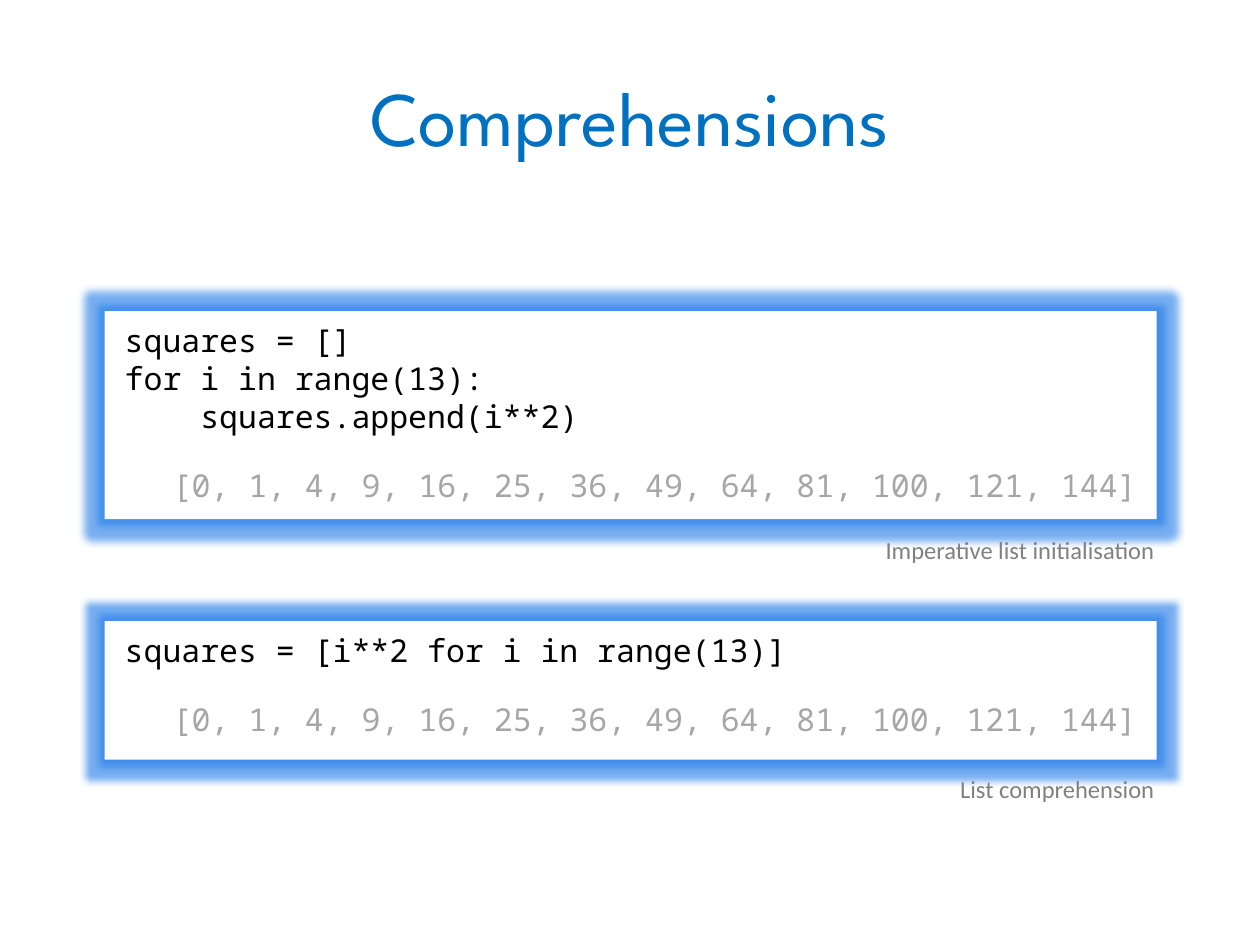
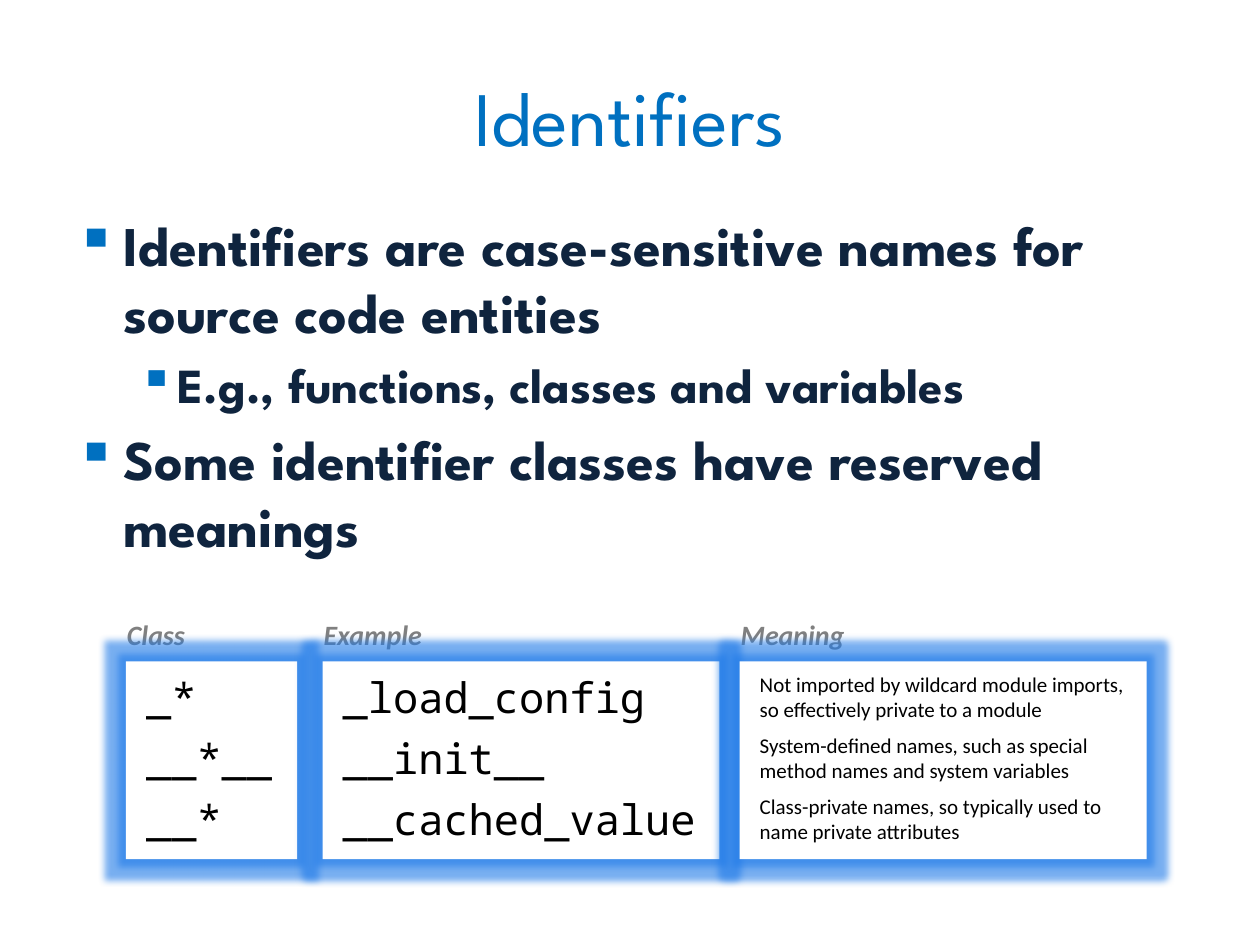
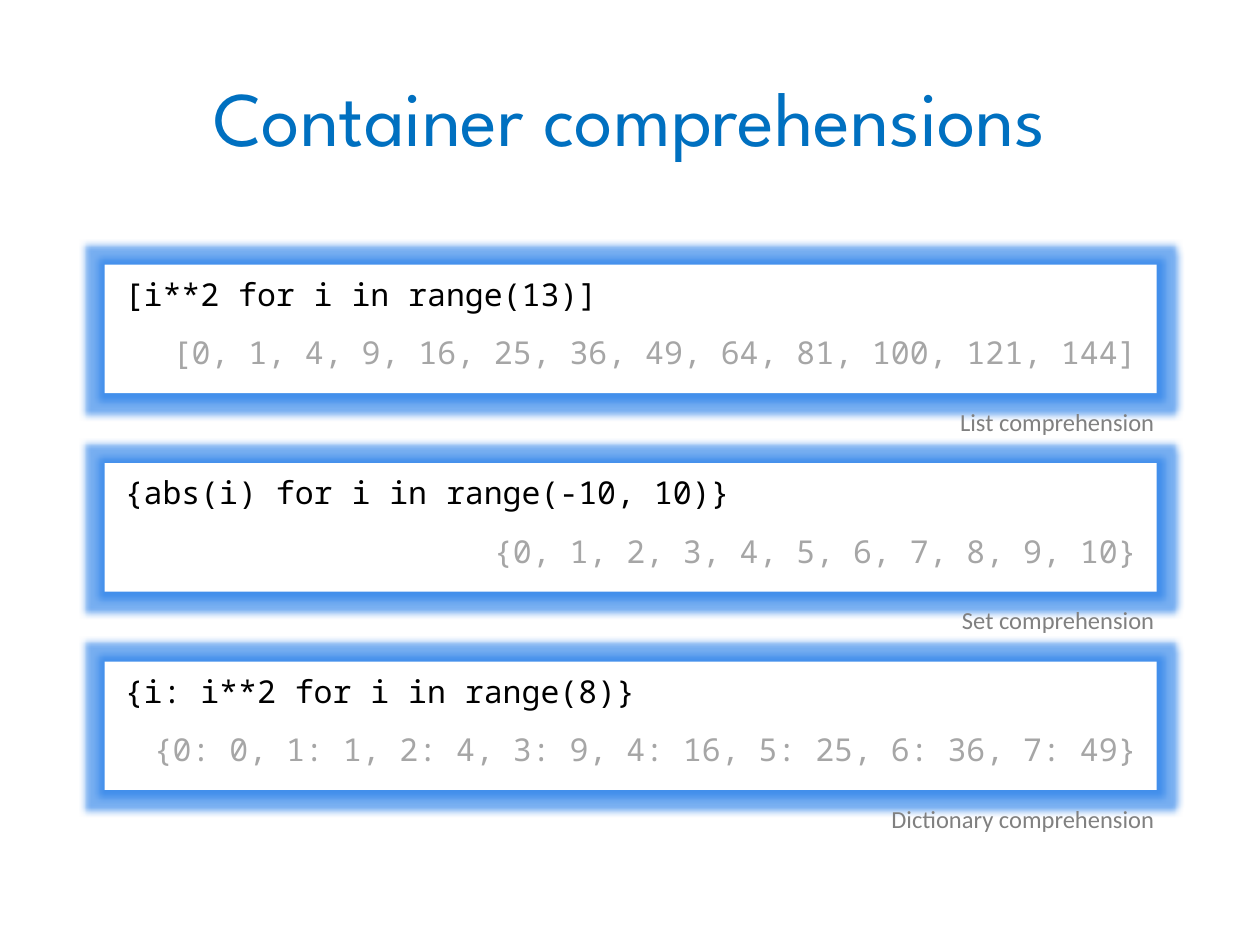
from lxml.etree import SubElement
from pptx import Presentation
from pptx.dml.color import RGBColor
from pptx.enum.shapes import MSO_SHAPE as Shape
from pptx.enum.text import MSO_ANCHOR as Anchor, MSO_AUTO_SIZE as Fit, PP_ALIGN as Align
from pptx.oxml.ns import qn
from pptx.util import Inches, Pt

HUES = {"title": "0070C0", "body": "0F243E", "code": "000000", "result": "A6A6A6",
        "label": "808080", "panel": "FFFFFF", "glow": "1F7AE8"}
HEAD, MONO, SANS = "League Spartan", "Noto Sans Mono", "Calibri"

SQUARES = "[0, 1, 4, 9, 16, 25, 36, 49, 64, 81, 100, 121, 144]"

# top, height, gap to caption, code lines, result, caption
BASICS = [
    (2.47, 1.65, 0.08,
     ["squares = []", "for i in range(13):", "    squares.append(i**2)"],
     SQUARES, "Imperative list initialisation"),
    (4.93, 1.1, 0.06, ["squares = [i**2 for i in range(13)]"],
     SQUARES, "List comprehension"),
]

KINDS = [
    ("[i**2 for i in range(13)]", SQUARES, "List comprehension"),
    ("{abs(i) for i in range(-10, 10)}", "{0, 1, 2, 3, 4, 5, 6, 7, 8, 9, 10}",
     "Set comprehension"),
    ("{i: i**2 for i in range(8)}",
     "{0: 0, 1: 1, 2: 4, 3: 9, 4: 16, 5: 25, 6: 36, 7: 49}",
     "Dictionary comprehension"),
]

POINTS = [
    (0, "Identifiers are case-sensitive names for source code entities"),
    (1, "E.g., functions, classes and variables"),
    (0, "Some identifier classes have reserved meanings"),
]
# size, left margin, hanging indent
LEVELS = [(32, 0.38, 0.38), (28, 0.81, 0.31)]

# label, label width, left, width, font, size, lines
COLUMNS = [
    ("Class", 0.67, 1, 1.36, MONO, 24, ["_*", "__*__", "__*"]),
    ("Example", 0.99, 2.56, 3.15, MONO, 24,
     ["_load_config", "__init__", "__cached_value"]),
    ("Meaning", 1.04, 5.87, 3.23, SANS, 12,
     ["Not imported by wildcard module imports, so effectively private to a module",
      "System-defined names, such as special method names and system variables",
      "Class-private names, so typically used to name private attributes"]),
]


def add_line(frame, text, font, size, hue, align=Align.LEFT, before=0,
             bold=False, italic=False):
    """Fill the empty first paragraph, or add one after the last."""
    para = frame.paragraphs[-1]
    if para.runs:
        para = frame.add_paragraph()
    para.alignment = align
    para.space_before = Pt(before)
    run = para.add_run()
    run.text = text
    run.font.name, run.font.size = font, Pt(size)
    run.font.bold, run.font.italic = bold, italic
    run.font.color.rgb = RGBColor.from_string(HUES[hue])
    return para


def add_text(slide, left, top, width, height, wrap=True):
    frame = slide.shapes.add_textbox(*map(Inches, (left, top, width, height))).text_frame
    frame.word_wrap = wrap
    return frame


def add_bullet(para, left, hang):
    props = para._p.get_or_add_pPr()
    props.set("marL", str(Inches(left)))
    props.set("indent", str(-Inches(hang)))
    tint = SubElement(props, qn("a:buClr"))
    SubElement(tint, qn("a:srgbClr"), val=HUES["title"])
    SubElement(props, qn("a:buChar"), char="▪")


def add_panel(slide, left, top, width, height):
    """Add a white box with a soft glow and return its text frame."""
    box = slide.shapes.add_shape(Shape.RECTANGLE, *map(Inches, (left, top, width, height)))
    box.fill.solid()
    box.fill.fore_color.rgb = RGBColor.from_string(HUES["panel"])
    box.line.fill.background()
    box.shadow.inherit = False
    effects = box._element.spPr.find(qn("a:effectLst"))
    glow = SubElement(effects, qn("a:glow"), rad=str(Pt(8)))
    tint = SubElement(glow, qn("a:srgbClr"), val=HUES["glow"])
    SubElement(tint, qn("a:alpha"), val="60000")
    frame = box.text_frame
    frame.word_wrap = True
    frame.vertical_anchor = Anchor.TOP
    frame.margin_left = frame.margin_right = Inches(0.16)
    frame.margin_top = frame.margin_bottom = Inches(0.08)
    return frame


def add_snippet(slide, top, height, gap, code, result, caption, before):
    """Add code with its result in a panel, and a caption below."""
    frame = add_panel(slide, 0.83, top, 8.35, height)
    for line in code:
        add_line(frame, line, MONO, 18, "code")
    add_line(frame, result, MONO, 18, "result", Align.RIGHT, before)
    note = add_text(slide, 5.87, top + height + gap, 3.39, 0.34)
    note.auto_size = Fit.SHAPE_TO_FIT_TEXT
    add_line(note, caption, SANS, 14, "label", Align.RIGHT)


def add_slide(deck, title):
    slide = deck.slides.add_slide(deck.slide_layouts[6])
    frame = add_text(slide, 0.5, 0.29, 9, 1.25)
    frame.vertical_anchor = Anchor.MIDDLE
    add_line(frame, title, HEAD, 44, "title", Align.CENTER)
    return slide


def main():
    deck = Presentation()
    deck.slide_width, deck.slide_height = Inches(10), Inches(7.5)

    slide = add_slide(deck, "Comprehensions")
    for part in BASICS:
        add_snippet(slide, *part, before=18)

    slide = add_slide(deck, "Identifiers")
    body = add_text(slide, 0.5, 1.62, 9, 4.95)
    for level, text in POINTS:
        size, left, hang = LEVELS[level]
        para = add_line(body, text, HEAD, size, "body", before=size * 0.2, bold=True)
        para.level = level
        add_bullet(para, left, hang)
    for label, span, left, width, font, size, lines in COLUMNS:
        head = add_text(slide, left - 0.09, 4.85, span, 0.37, wrap=False)
        head.auto_size = Fit.SHAPE_TO_FIT_TEXT
        add_line(head, label, SANS, 16, "label", bold=True, italic=True)
        frame = add_panel(slide, left, 5.25, width, 1.57)
        for line in lines:
            add_line(frame, line, font, size, "code", before=6)

    slide = add_slide(deck, "Container comprehensions")
    for row, (code, result, caption) in enumerate(KINDS):
        add_snippet(slide, 2.1 + row * 1.575, 1.02, 0.06, [code], result, caption, before=12)

    deck.save("out.pptx")


if __name__ == "__main__":
    main()
